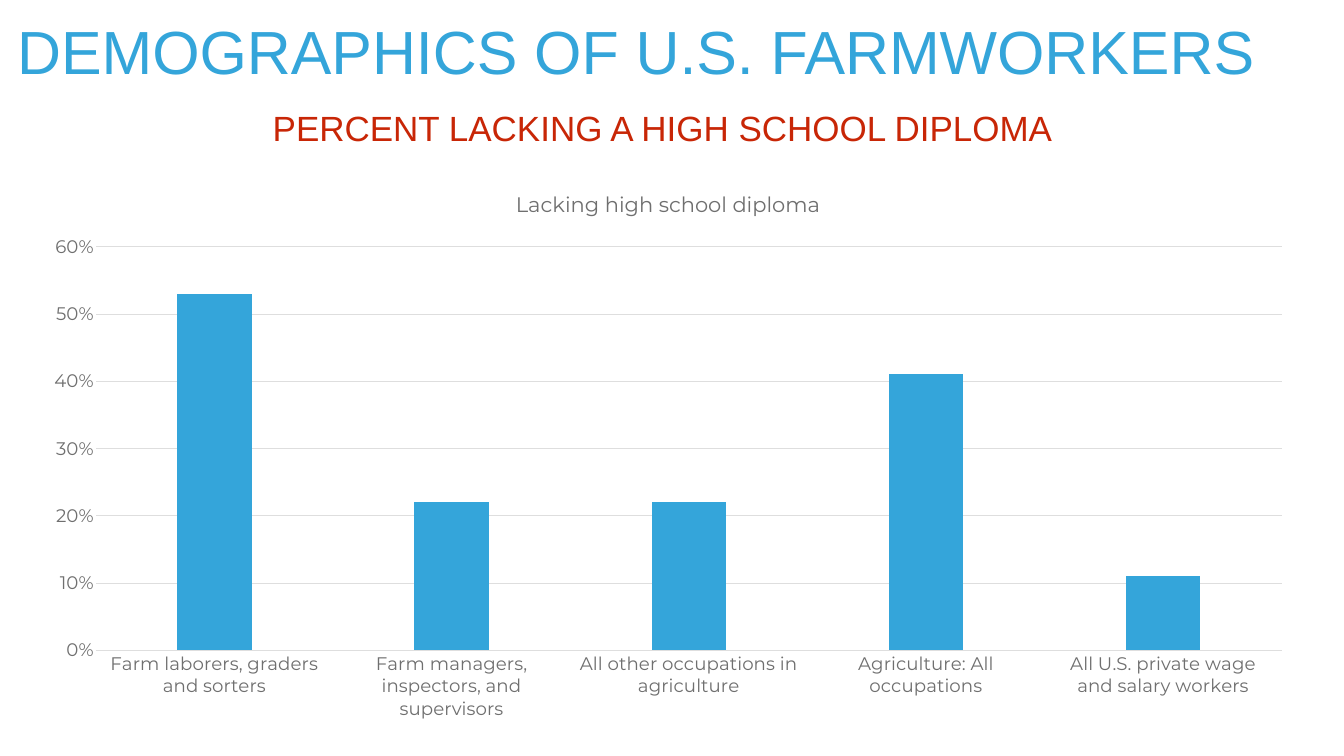
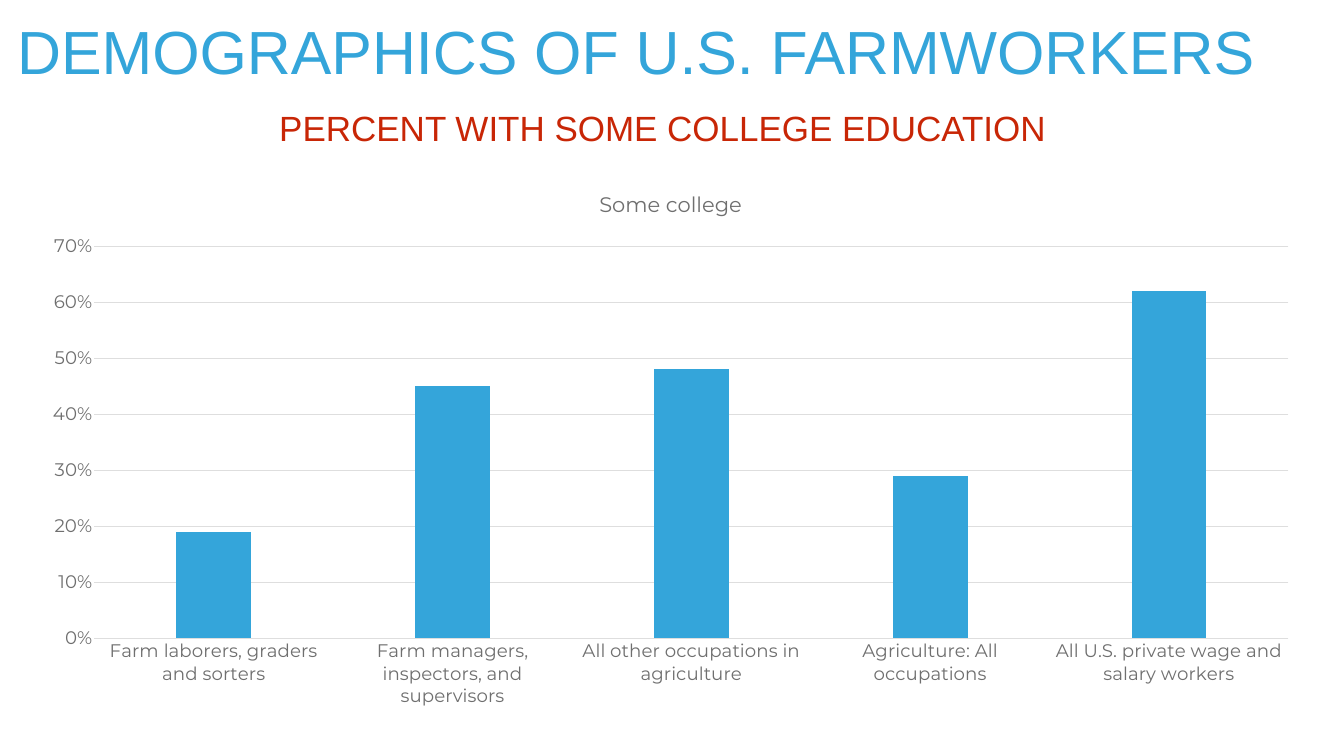
"""Builds two slides on the education of U.S. farmworkers."""
from dataclasses import dataclass

import pptx
import pptx.chart.data
import pptx.dml.color
import pptx.enum.chart
import pptx.enum.text
import pptx.util


@dataclass(frozen=True)
class Theme:
    """Colours, fonts, type sizes and slide size in inches."""
    blue: str = "34A5DA"
    red: str = "C82606"
    grey: str = "6F6F6F"
    rule: str = "DEDEDE"
    white: str = "FFFFFF"
    heading_font: str = "Arial"
    chart_font: str = "Montserrat"
    title_size: int = 87
    subtitle_size: int = 50
    chart_title_size: int = 30
    axis_size: int = 26
    rule_width: float = 0.75
    inset: float = 0.06
    width: float = 26.67
    height: float = 15


THEME = Theme()
TITLE = "DEMOGRAPHICS OF U.S. FARMWORKERS"
TITLE_BOX = (1.05, 3.27, 97.6, 8.73)
SUBTITLE_BOX = (0, 14.73, 98.65, 5.27)
OCCUPATIONS = (
    "Farm laborers, graders and sorters",
    "Farm managers, inspectors, and supervisors",
    "All other occupations in agriculture",
    "Agriculture: All occupations",
    "All U.S. private wage and salary workers",
)
SLIDES = (
    ("PERCENT LACKING A HIGH SCHOOL DIPLOMA", "Lacking high school diploma",
     (0.53, 0.22, 0.22, 0.41, 0.11), 0.6, (2.14, 22.73, 95.13, 74)),
    ("PERCENT WITH SOME COLLEGE EDUCATION", "Some college",
     (0.19, 0.45, 0.48, 0.29, 0.62), 0.7, (2.02, 22.73, 95.76, 72.33)),
)


def rgb(colour):
    """Return a colour object for a hex string."""
    return pptx.dml.color.RGBColor.from_string(colour)


def place(box):
    """Turn left, top, width and height in percent of the slide into lengths."""
    sides = (THEME.width, THEME.height) * 2
    return [pptx.util.Inches(side * share / 100) for side, share in zip(sides, box)]


def style_font(font, name, size, colour):
    """Set the face, size and colour of a font."""
    font.name = name
    font.size = pptx.util.Pt(size)
    font.bold = False
    font.color.rgb = rgb(colour)


def style_rule(line):
    """Draw a line as a thin pale rule."""
    line.color.rgb = rgb(THEME.rule)
    line.width = pptx.util.Pt(THEME.rule_width)


def add_heading(slide, text, box, size, colour):
    """Add a one-line heading and return its text frame."""
    tf = slide.shapes.add_textbox(*place(box)).text_frame
    tf.word_wrap = True
    inset = pptx.util.Inches(THEME.inset)
    tf.margin_left = tf.margin_right = tf.margin_top = tf.margin_bottom = inset
    p = tf.paragraphs[0]
    p.text = text
    p.line_spacing = 0.8
    style_font(p.font, THEME.heading_font, size, colour)
    return tf


def add_subtitle(slide, text):
    """Add the centred red subtitle."""
    tf = add_heading(slide, text, SUBTITLE_BOX, THEME.subtitle_size, THEME.red)
    tf.vertical_anchor = pptx.enum.text.MSO_ANCHOR.MIDDLE
    tf.auto_size = pptx.enum.text.MSO_AUTO_SIZE.SHAPE_TO_FIT_TEXT
    tf.paragraphs[0].alignment = pptx.enum.text.PP_ALIGN.CENTER


def style_axes(chart, top):
    """Style both axes, with percent rules from zero up to top."""
    for axis in (chart.category_axis, chart.value_axis):
        axis.major_tick_mark = pptx.enum.chart.XL_TICK_MARK.NONE
        axis.minor_tick_mark = pptx.enum.chart.XL_TICK_MARK.NONE
        style_font(axis.tick_labels.font, THEME.chart_font, THEME.axis_size, THEME.grey)
    style_rule(chart.category_axis.format.line)
    values = chart.value_axis
    values.minimum_scale, values.maximum_scale, values.major_unit = 0, top, 0.1
    values.format.line.fill.background()
    values.has_major_gridlines = True
    style_rule(values.major_gridlines.format.line)
    values.tick_labels.number_format = "0%"
    values.tick_labels.number_format_is_linked = False


def add_column_chart(slide, name, shares, top, box):
    """Add a titled column chart of one share per occupation."""
    data = pptx.chart.data.CategoryChartData(number_format="0%")
    data.categories = OCCUPATIONS
    data.add_series(name, shares)
    kind = pptx.enum.chart.XL_CHART_TYPE.COLUMN_CLUSTERED
    chart = slide.shapes.add_chart(kind, *place(box), data).chart
    chart.has_legend = False
    style_font(chart.font, THEME.chart_font, THEME.axis_size, THEME.grey)
    chart.has_title = True
    p = chart.chart_title.text_frame.paragraphs[0]
    p.text = name
    style_font(p.font, THEME.chart_font, THEME.chart_title_size, THEME.grey)
    chart.chart_title.include_in_layout = False
    style_axes(chart, top)
    plot = chart.plots[0]
    plot.gap_width = 219
    plot.overlap = -27
    plot.vary_by_categories = False
    fill = plot.series[0].format.fill
    fill.solid()
    fill.fore_color.rgb = rgb(THEME.blue)


def add_chart_slide(prs, subtitle, name, shares, top, box):
    """Add a slide with the shared title, a subtitle and a chart."""
    slide = prs.slides.add_slide(prs.slide_layouts[6])
    slide.background.fill.solid()
    slide.background.fill.fore_color.rgb = rgb(THEME.white)
    add_subtitle(slide, subtitle)
    add_heading(slide, TITLE, TITLE_BOX, THEME.title_size, THEME.blue)
    add_column_chart(slide, name, shares, top, box)


def main():
    """Build and save the presentation."""
    prs = pptx.Presentation()
    prs.slide_width = pptx.util.Inches(THEME.width)
    prs.slide_height = pptx.util.Inches(THEME.height)
    for content in SLIDES:
        add_chart_slide(prs, *content)
    prs.save("out.pptx")


if __name__ == "__main__":
    main()
